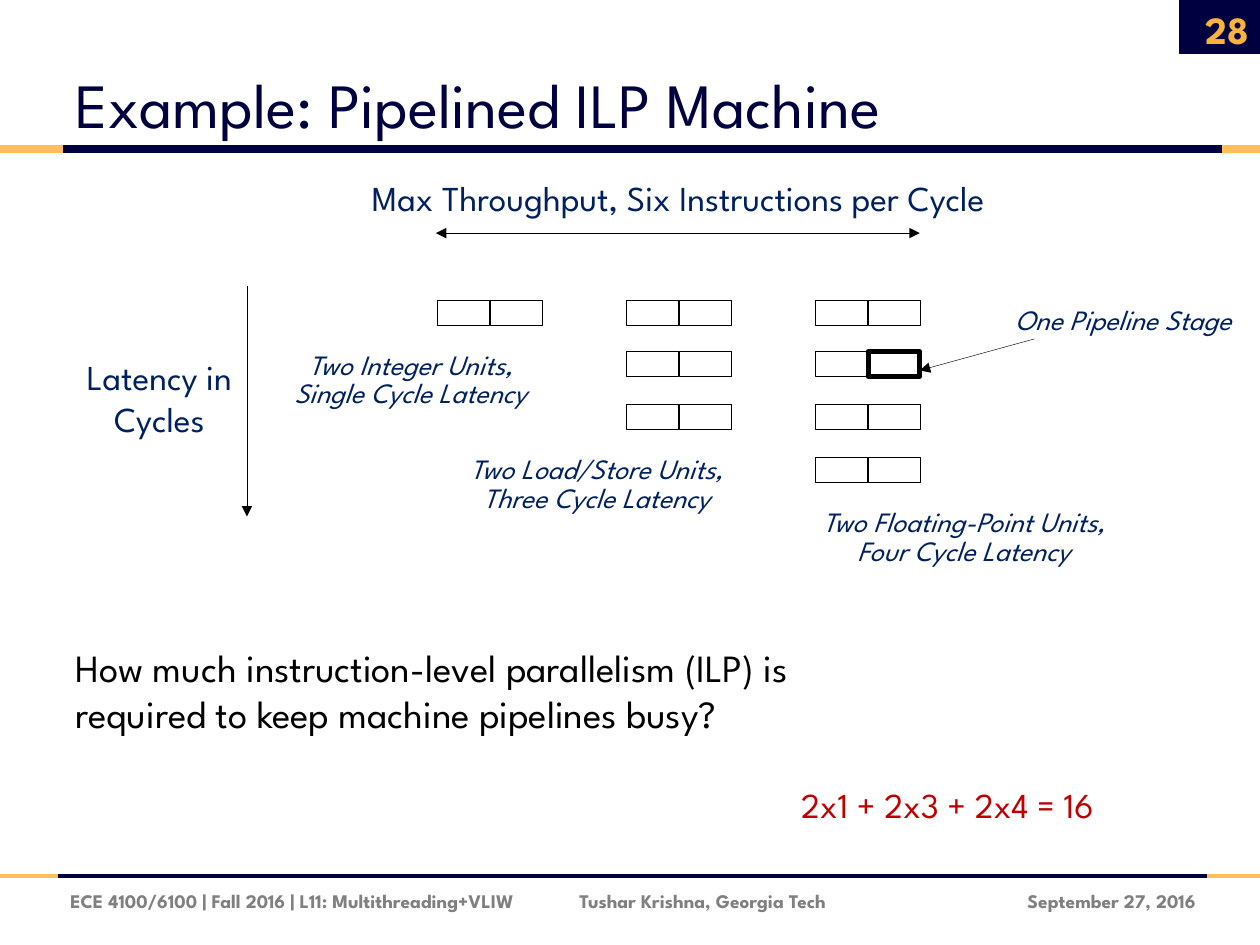
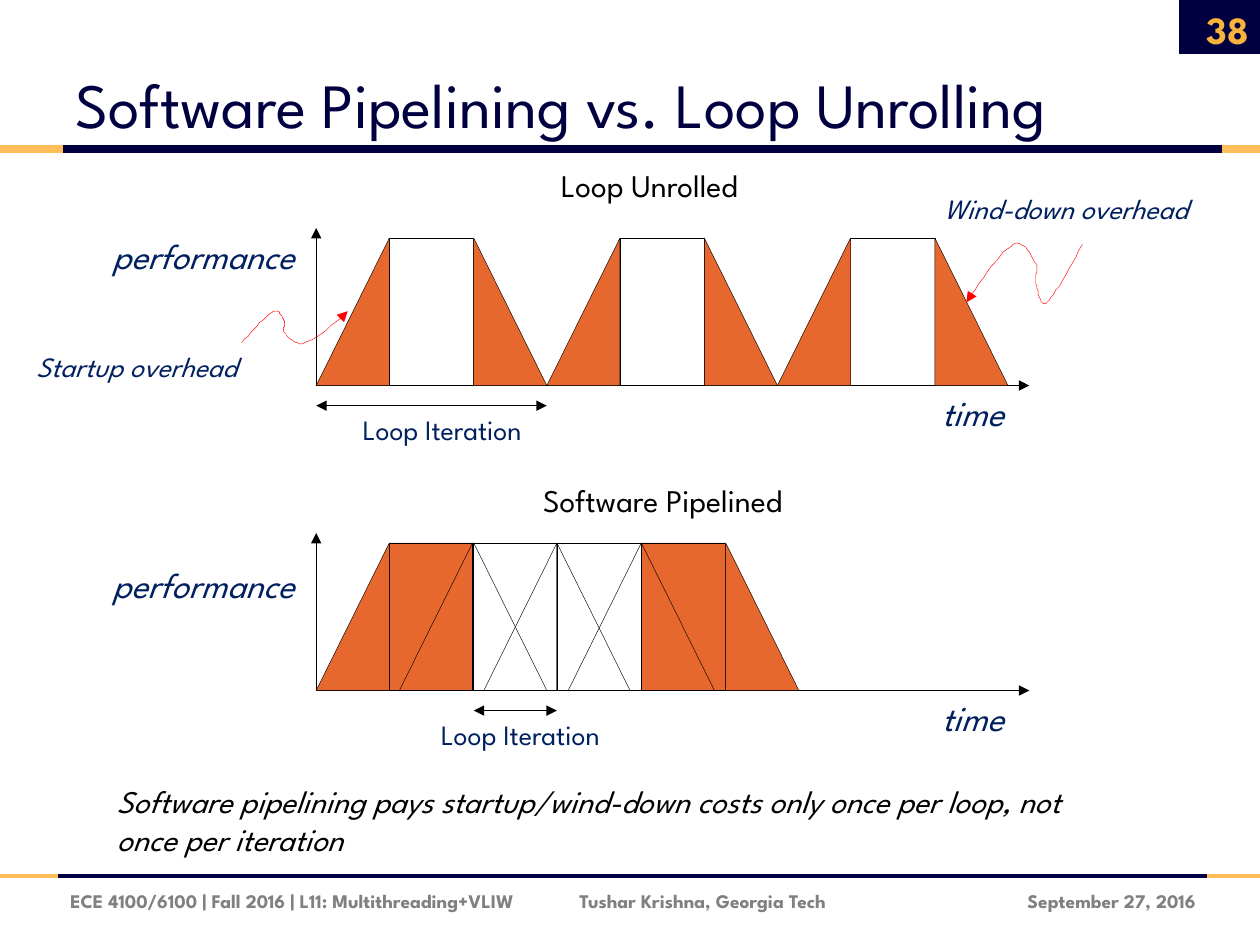
"""Build two lecture slides on pipelined ILP machines and software pipelining."""
from dataclasses import dataclass

from lxml.etree import SubElement
from pptx import Presentation
from pptx.dml.color import RGBColor
from pptx.enum.shapes import MSO_CONNECTOR, MSO_SHAPE
from pptx.enum.text import MSO_ANCHOR, PP_ALIGN
from pptx.oxml.ns import qn
from pptx.util import Emu, Pt

LEFT, CENTER, RIGHT = PP_ALIGN.LEFT, PP_ALIGN.CENTER, PP_ALIGN.RIGHT
TOP, MIDDLE, BOTTOM = MSO_ANCHOR.TOP, MSO_ANCHOR.MIDDLE, MSO_ANCHOR.BOTTOM
RECT, STRAIGHT = MSO_SHAPE.RECTANGLE, MSO_CONNECTOR.STRAIGHT
PX = 9144
RAMP, PLATEAU, PEAK = 58, 67, 117


@dataclass(frozen=True)
class Theme:
    font: str = "League Spartan"
    navy: str = "000041"
    gold: str = "FFBE5A"
    number: str = "F8B33C"
    blue: str = "002060"
    gray: str = "808080"
    black: str = "000000"
    orange: str = "E6682E"
    red: str = "FF0000"
    answer: str = "C00000"
    title: int = 36
    large: int = 22
    body: int = 20
    heading: int = 18
    note: int = 16
    footer: int = 11
    hairline: float = 0.25


def rgb(color):
    return RGBColor.from_string(color)


def bezier(points, steps=12):
    curve = [points[0]]
    for i in range(0, len(points) - 1, 3):
        a, b, c, d = points[i:i + 4]
        for n in range(1, steps + 1):
            t = n / steps
            u = 1 - t
            curve.append(tuple(
                u**3 * a[k] + 3 * u * u * t * b[k] + 3 * u * t * t * c[k] + t**3 * d[k]
                for k in (0, 1)))
    return curve


class Deck:
    def __init__(self, theme):
        self.theme = theme
        self.prs = Presentation()
        self.prs.slide_width, self.prs.slide_height = Emu(1000 * PX), Emu(750 * PX)
        self.shapes = None

    def text(self, text, x, y, w, h, *, size, color=None, bold=False, italic=False,
             align=CENTER, anchor=MIDDLE, wrap=True, leading=None, gap=0):
        tf = self.shapes.add_textbox(*(Emu(v * PX) for v in (x, y, w, h))).text_frame
        tf.word_wrap, tf.vertical_anchor = wrap, anchor
        for i, line in enumerate(text.split("\n")):
            p = tf.paragraphs[0] if i == 0 else tf.add_paragraph()
            p.alignment, p.line_spacing = align, leading
            p.space_before = Pt(gap if i else 0)
            r = p.add_run()
            r.text = line
            r.font.name, r.font.size = self.theme.font, Pt(size)
            r.font.bold, r.font.italic = bold, italic
            r.font.color.rgb = rgb(color or self.theme.blue)

    def style(self, s, fill=None, line=None, width=None):
        s.shadow.inherit = False
        if fill:
            s.fill.solid()
            s.fill.fore_color.rgb = rgb(fill)
        else:
            s.fill.background()
        self.stroke(s, line or self.theme.black, width or self.theme.hairline)

    def stroke(self, s, color, width, head=False, tail=False):
        s.line.color.rgb = rgb(color)
        s.line.width = Pt(width)
        ln = s.element.spPr.find(qn("a:ln"))
        for wanted, tag in ((head, "a:headEnd"), (tail, "a:tailEnd")):
            if wanted:
                SubElement(ln, qn(tag), type="triangle")

    def rect(self, x, y, w, h, **look):
        s = self.shapes.add_shape(RECT, *(Emu(v * PX) for v in (x, y, w, h)))
        self.style(s, **look)

    def line(self, x1, y1, x2, y2, color=None, width=None, head=False, tail=False):
        s = self.shapes.add_connector(STRAIGHT, *(Emu(v * PX) for v in (x1, y1, x2, y2)))
        self.stroke(s, color or self.theme.black, width or self.theme.hairline, head, tail)
        SubElement(s.element.spPr, qn("a:effectLst"))

    def outline(self, points, fill=None, color=None, closed=True, head=False, tail=False):
        builder = self.shapes.build_freeform(*points[0], scale=PX)
        builder.add_line_segments(points[1:], close=closed)
        s = builder.convert_to_shape()
        color = color or self.theme.black
        self.style(s, fill, color)
        self.stroke(s, color, self.theme.hairline, head, tail)

    def slide(self, title, number):
        t = self.theme
        self.shapes = self.prs.slides.add_slide(self.prs.slide_layouts[6]).shapes
        self.rect(936, 0, 68, 42, fill=t.navy, line=t.navy)
        for y, start, end, width in ((695, 46, 958, 2.25), (118, 50, 970, 4.5)):
            self.line(start, y, end, y, t.navy, width)
            self.line(0, y, start, y, t.gold, width)
            self.line(end, y, 1000, y, t.gold, width)
        self.text(title, 50, 17, 925, 100, size=t.title, color=t.navy,
                  align=LEFT, anchor=BOTTOM)
        for label, x, w, align in (
                ("ECE 4100/6100 | Fall 2016 | L11: Multithreading+VLIW", 46, 400, LEFT),
                ("Tushar Krishna, Georgia Tech", 450, 260, LEFT),
                ("September 27, 2016", 767, 192, RIGHT)):
            self.text(label, x, 695, w, 40, size=t.footer, color=t.gray,
                      bold=True, align=align)
        self.text(str(number), 934, 3, 67, 40, size=t.large, color=t.number,
                  bold=True, align=RIGHT)

    def iteration(self, x, base, flat=None, up=None, down=None):
        top, left = base - PEAK, x + RAMP
        right = left + PLATEAU
        self.rect(left, top, PLATEAU, PEAK, fill=flat)
        self.outline([(left, top), (left, base), (x, base)], up)
        self.outline([(right, top), (right, base), (right + RAMP, base)], down)

    def axes(self, base):
        t = self.theme
        self.outline([(251, base - 125), (251, base), (817, base)],
                     closed=False, head=True, tail=True)
        self.text("time", 731, base, 82, 43, size=t.body, italic=True, wrap=False)

    def span(self, x1, x2, y, label_x, label_w):
        self.line(x1, y, x2, y, head=True, tail=True)
        self.text("Loop Iteration", label_x, y, label_w, 37, size=self.theme.note)


def ilp_machine(deck):
    t = deck.theme
    deck.slide("Example: Pipelined ILP Machine", 28)
    deck.text("One Pipeline Stage", 771, 235, 241, 37, size=t.note, italic=True)
    units = (
        ("Two Integer Units,\nSingle Cycle Latency", 1, 201, 277, 250),
        ("Two Load/Store Units,\nThree Cycle Latency", 3, 348, 360, 251),
        ("Two Floating-Point Units,\nFour Cycle Latency", 4, 626, 402, 278),
    )
    for kind, (label, latency, x, y, w) in enumerate(units):
        for cycle in range(latency):
            for unit in range(2):
                marked = (kind, cycle, unit) == (2, 1, 1)
                deck.rect(347 + 150 * kind + 42 * unit, 238 + cycle * 125 // 3, 41, 20,
                          width=3 if marked else t.hairline)
        deck.text(label, x, y, w, 53, size=t.note, italic=True, wrap=False,
                  leading=0.7, gap=3)
    deck.line(821, 269, 730, 294, tail=True)
    deck.line(196, 227, 196, 410, tail=True)
    deck.line(346, 185, 730, 185, head=True, tail=True)
    deck.text("Max Throughput, Six Instructions per Cycle", 245, 135, 587, 44,
              size=t.body, wrap=False)
    deck.text("Latency in Cycles", 55, 277, 143, 77, size=t.body)
    deck.text("How much instruction-level parallelism (ILP) is required to keep "
              "machine pipelines busy?", 50, 506, 691, 84, size=t.large,
              color=t.black, align=LEFT, anchor=TOP)
    deck.text("2x1 + 2x3 + 2x4 = 16", 626, 617, 314, 44, size=t.body,
              color=t.answer, align=LEFT, anchor=TOP)


def software_pipelining(deck):
    t = deck.theme
    deck.slide("Software Pipelining vs. Loop Unrolling", 38)

    unrolled, pipelined = 306, 548
    deck.axes(unrolled)
    for i in range(3):
        deck.iteration(251 + i * (2 * RAMP + PLATEAU), unrolled, up=t.orange, down=t.orange)
    deck.span(251, 434, 322, 262, 178)

    deck.axes(pipelined)
    fills = {0: dict(flat=t.orange, up=t.orange), 1: {},
             3: dict(flat=t.orange, down=t.orange), 2: {}}
    for i, fill in fills.items():
        deck.iteration(251 + i * 200 // 3, pipelined, **fill)
    deck.span(376, 442, 564, 317, 192)

    for y in (181, 442):
        deck.text("performance", 61, y, 201, 44, size=t.body, italic=True, wrap=False)
    for label, x, y, w in (("Loop Unrolled", 421, 127, 189),
                           ("Software Pipelined", 402, 377, 248)):
        deck.text(label, x, y, w, 40, size=t.heading, color=t.black, wrap=False)
    for label, x, y, w in (("Startup overhead", 1, 272, 215),
                           ("Wind-down overhead", 717, 147, 258)):
        deck.text(label, x, y, w, 37, size=t.note, italic=True, wrap=False)
    deck.text("Software pipelining pays startup/wind-down costs only once per loop, "
              "not once per iteration", 83, 615, 817, 71, size=t.heading,
              color=t.black, italic=True, align=LEFT)

    startup = [(192, 272), (202, 261), (212, 250), (217, 247), (223, 245), (224, 253),
               (226, 256), (227, 259), (223, 261), (226, 264), (228, 267), (234, 275),
               (242, 272), (251, 270), (263, 259), (276, 247)]
    wind_down = [(859, 194), (848, 214), (837, 235), (831, 240), (825, 245), (824, 229),
                 (822, 224), (821, 219), (825, 214), (822, 209), (819, 204), (813, 189),
                 (804, 194), (795, 199), (781, 219), (767, 240)]
    for pointer in (startup, wind_down):
        deck.outline(bezier(pointer), color=t.red, closed=False, tail=True)


def main():
    deck = Deck(Theme())
    ilp_machine(deck)
    software_pipelining(deck)
    deck.prs.save("out.pptx")


if __name__ == "__main__":
    main()
